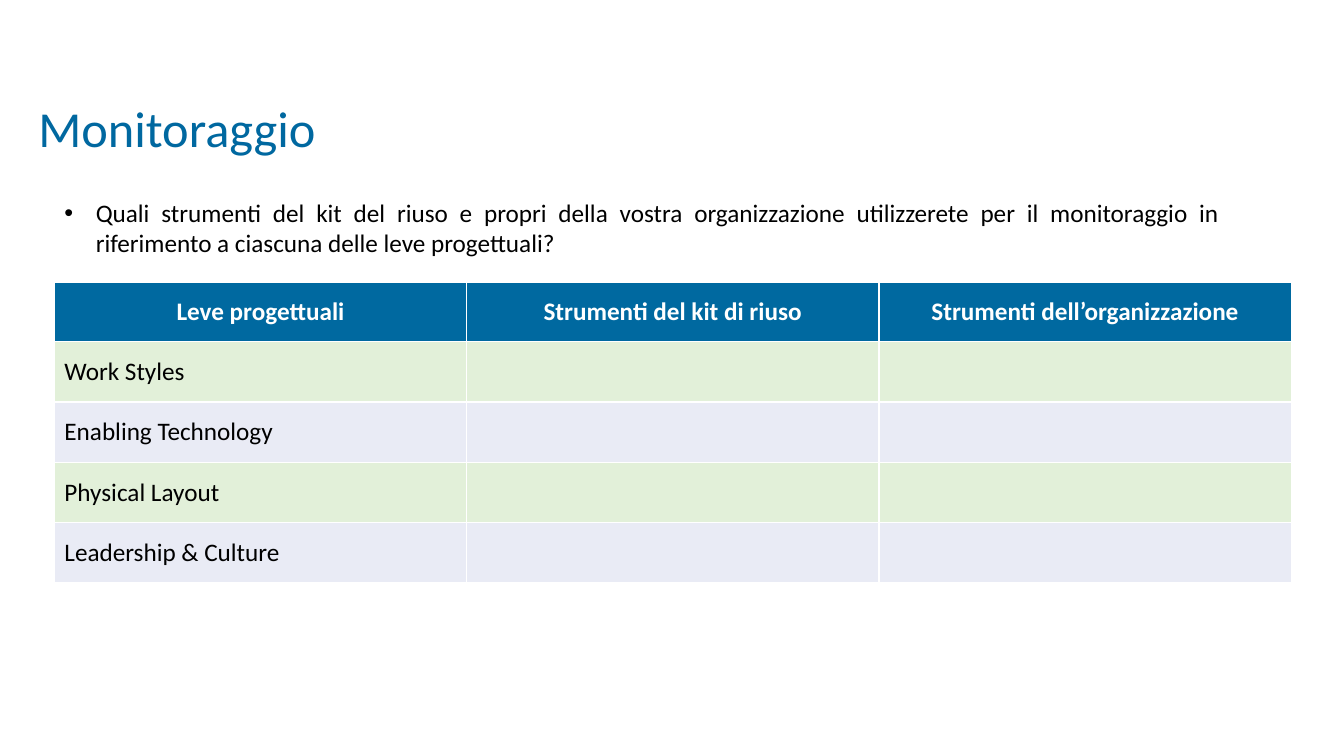
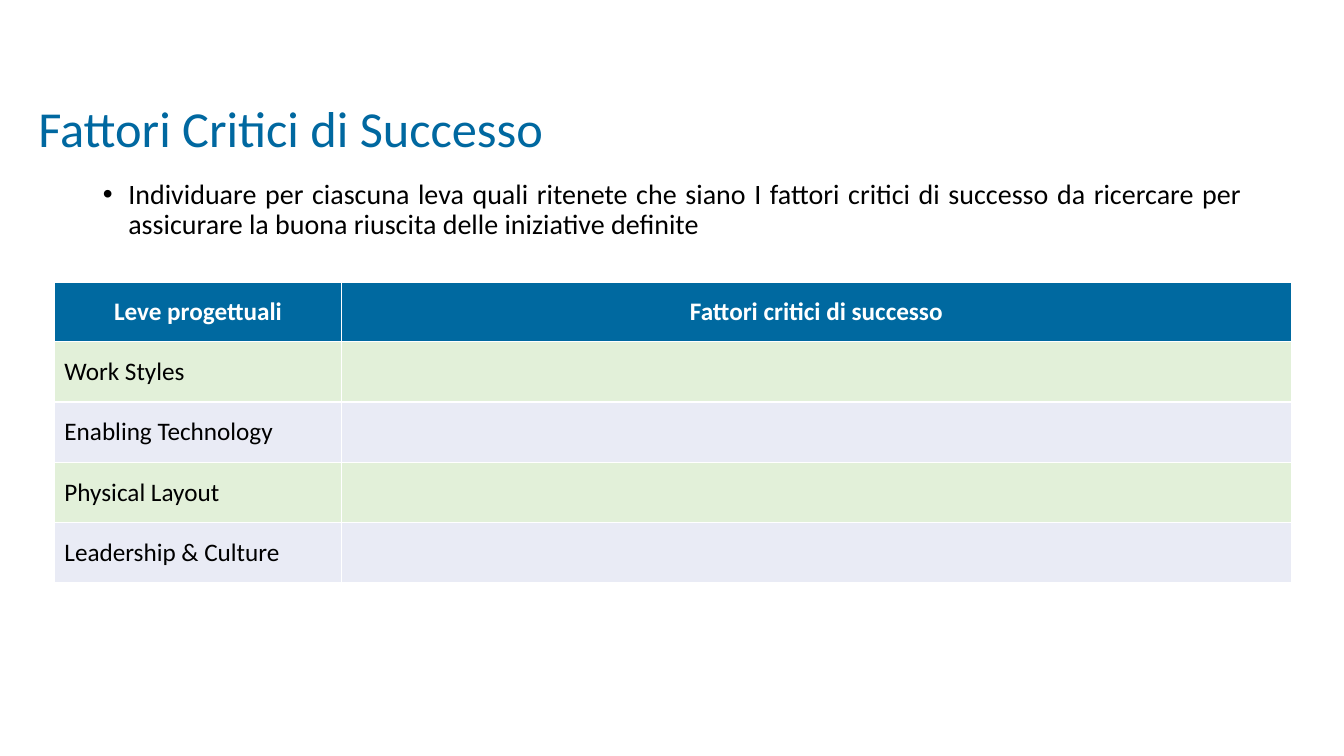
"""Build two slides on monitoring and critical success factors, each with a table."""
from pptx import Presentation
from pptx.dml.color import RGBColor
from pptx.enum.text import MSO_ANCHOR, MSO_AUTO_SIZE, PP_ALIGN
from pptx.util import Cm, Pt

FONT = "Calibri"
TITLE, HEADER, WHITE, BLACK = "0068A0", "0069A0", "FFFFFF", "000000"
BANDS = ["E2F0D9", "E9EBF5"]
LEVERS = ["Work Styles", "Enabling Technology", "Physical Layout", "Leadership & Culture"]

SLIDES = [
    {
        "title": "Monitoraggio",
        "question": "Quali strumenti del kit del riuso e propri della vostra organizzazione "
                    "utilizzerete per il monitoraggio in riferimento a ciascuna delle leve progettuali?",
        "box": (1.37, 4.85, 29.62, 1.8),
        "indent": 0.79, "size": 18, "spacing": 1.0, "before": 0,
        "headers": ["Leve progettuali", "Strumenti del kit di riuso", "Strumenti dell’organizzazione"],
        "widths": [10.39, 10.39, 10.39],
    },
    {
        "title": "Fattori Critici di Successo",
        "question": "Individuare per ciascuna leva quali ritenete che siano I fattori critici di successo "
                    "da ricercare per assicurare la buona riuscita delle iniziative definite",
        "box": (2.34, 4.42, 29.21, 9.42),
        "indent": 0.64, "size": 20, "spacing": 0.9, "before": 10,
        "headers": ["Leve progettuali", "Fattori critici di successo"],
        "widths": [7.24, 23.93],
    },
]


def rgb(color):
    """Turn a hex string into a colour."""
    return RGBColor.from_string(color)


def write(tf, text, size, color, align, bold=False):
    """Set the text of a frame, format it and return its paragraph."""
    tf.text = text
    p = tf.paragraphs[0]
    p.alignment = align
    for r in p.runs:
        r.font.name = FONT
        r.font.size = Pt(size)
        r.font.bold = bold
        r.font.color.rgb = rgb(color)
    return p


prs = Presentation()
prs.slide_width, prs.slide_height = Cm(33.87), Cm(19.05)
layout = prs.slide_layouts[1]

sp = layout.placeholders[0]
sp.left, sp.top, sp.width, sp.height = Cm(0.71), Cm(1.47), Cm(29.21), Cm(3.68)
sp.text_frame.vertical_anchor = MSO_ANCHOR.MIDDLE

for data in SLIDES:
    s = prs.slides.add_slide(layout)

    tf = s.shapes.title.text_frame
    tf.auto_size = MSO_AUTO_SIZE.NONE
    p = write(tf, data["title"], 36, TITLE, PP_ALIGN.LEFT)
    p.line_spacing = 0.9

    sp = s.placeholders[1]
    sp.left, sp.top, sp.width, sp.height = [Cm(v) for v in data["box"]]
    tf = sp.text_frame
    tf.auto_size = MSO_AUTO_SIZE.NONE
    p = write(tf, data["question"], data["size"], BLACK, PP_ALIGN.JUSTIFY)
    p.line_spacing = data["spacing"]
    p.space_before = Pt(data["before"])
    pPr = p._p.get_or_add_pPr()
    pPr.set("marL", str(Cm(data["indent"])))
    pPr.set("indent", str(-Cm(data["indent"])))

    headers, widths = data["headers"], data["widths"]
    table = s.shapes.add_table(len(LEVERS) + 1, len(headers), Cm(1.37), Cm(7.11),
                               Cm(sum(widths)), Cm(7.58)).table
    for col, width in zip(table.columns, widths):
        col.width = Cm(width)
    for i, row in enumerate(table.rows):
        row.height = Cm(1.52 if i else 1.5)
        for j, cell in enumerate(row.cells):
            cell.vertical_anchor = MSO_ANCHOR.MIDDLE
            cell.fill.solid()
            cell.fill.fore_color.rgb = rgb(BANDS[(i - 1) % 2] if i else HEADER)
            if i == 0:
                write(cell.text_frame, headers[j], 18, WHITE, PP_ALIGN.CENTER, True)
            elif j == 0:
                write(cell.text_frame, LEVERS[i - 1], 18, BLACK, PP_ALIGN.LEFT)

prs.save("out.pptx")
